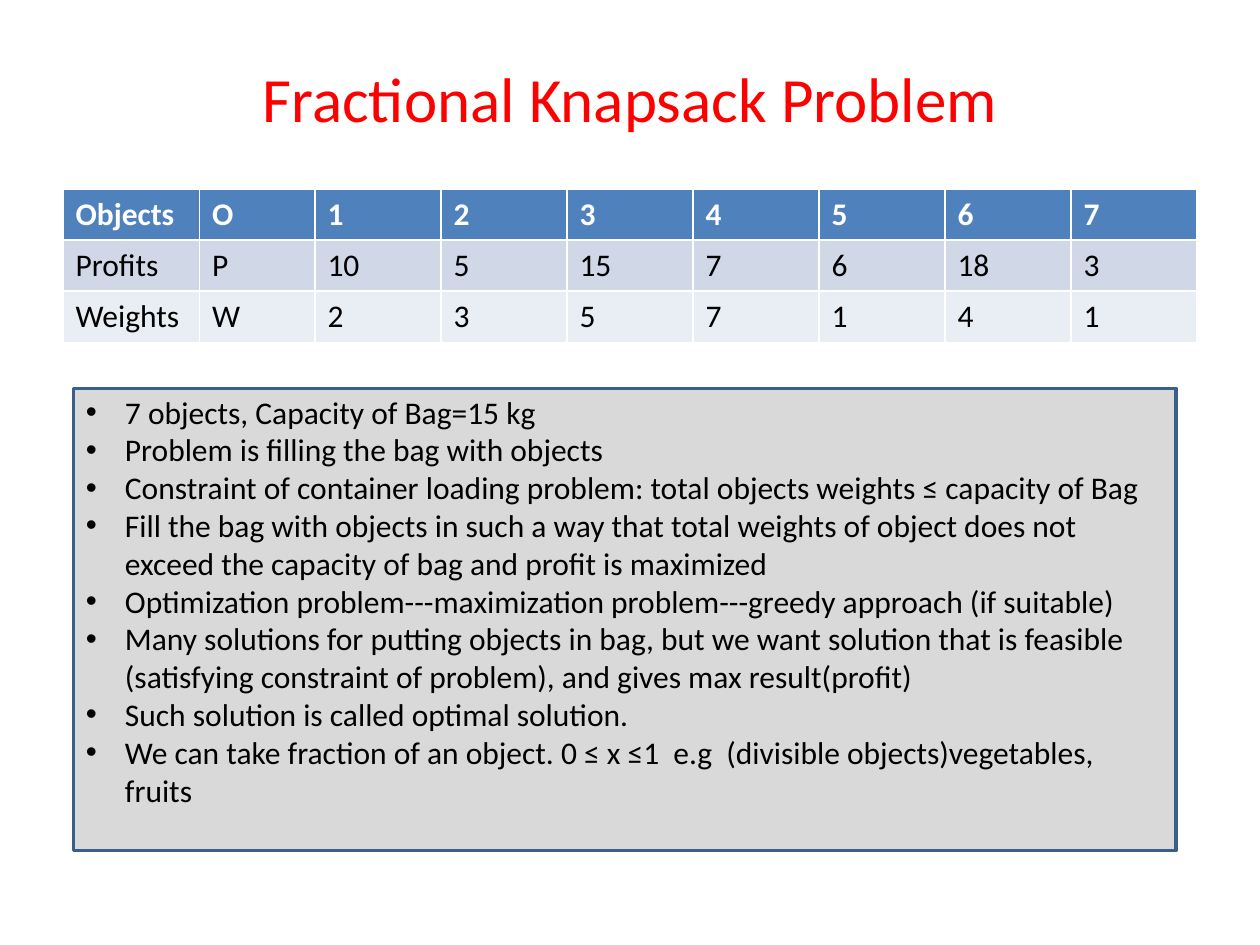
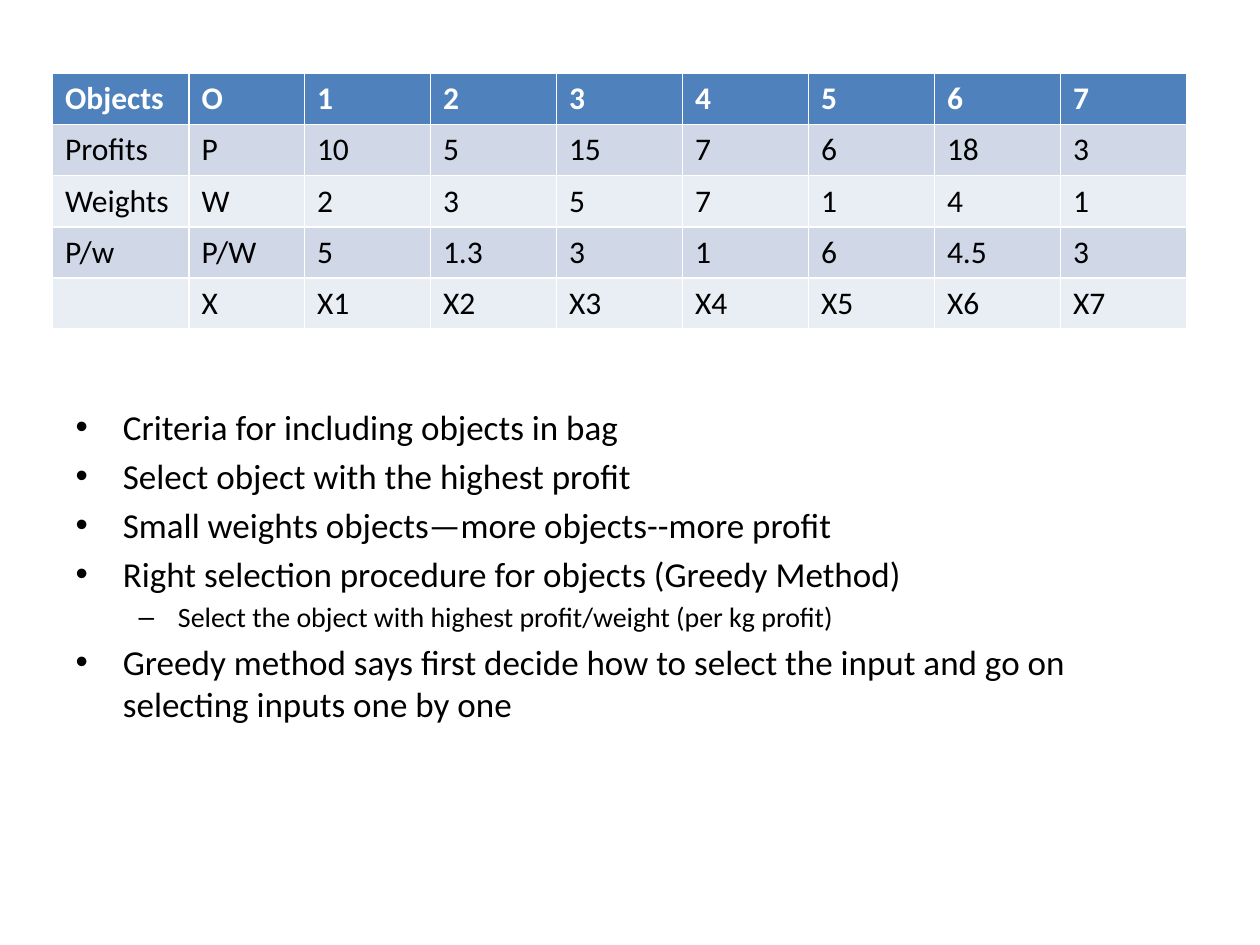
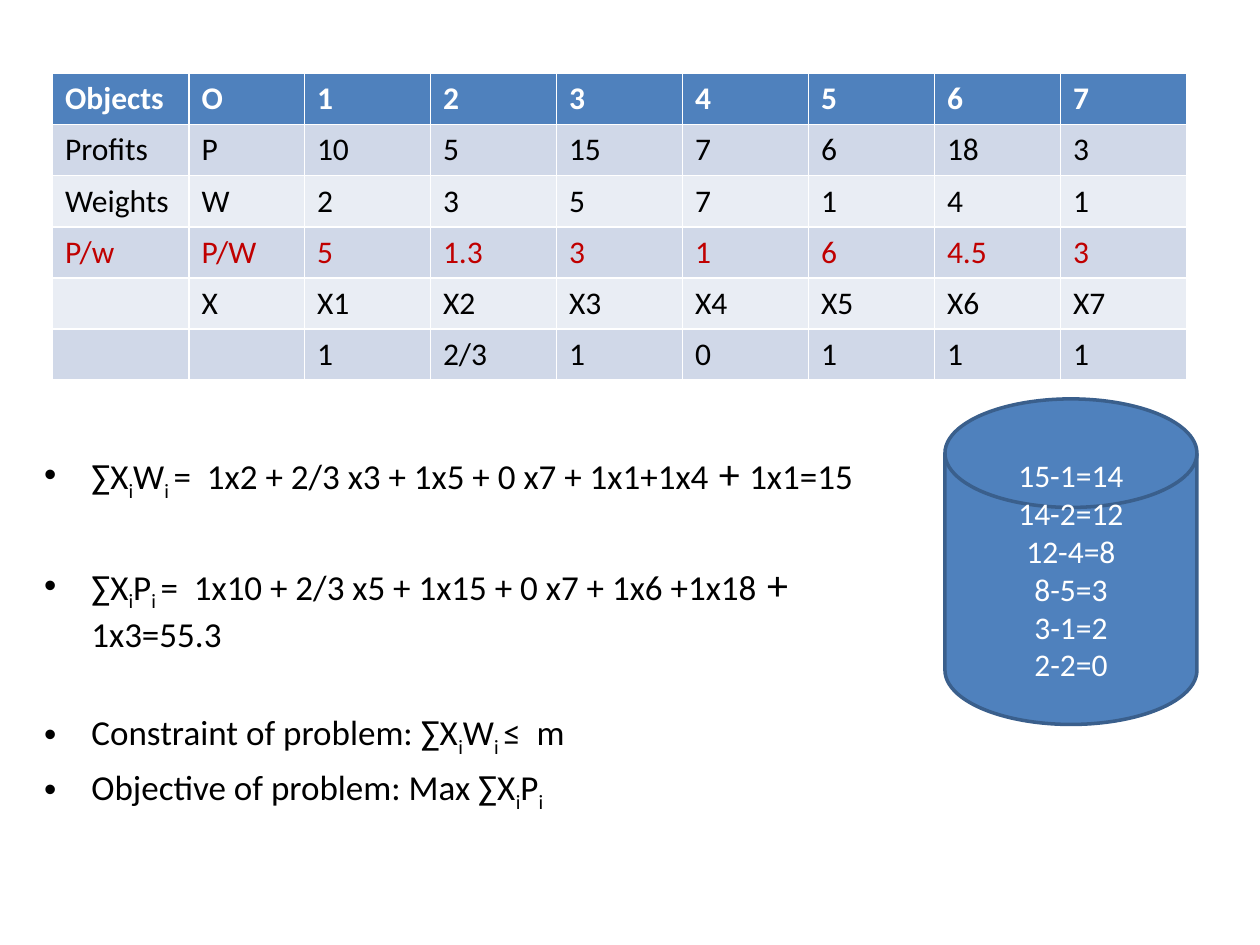
from dataclasses import dataclass

from lxml import etree
from pptx import Presentation
from pptx import util as u
from pptx.dml.color import RGBColor
from pptx.enum import shapes, text
from pptx.oxml.ns import qn


@dataclass(frozen=True)
class Theme:
    font: str = "Calibri"
    title: str = "FF0000"
    ink: str = "000000"
    white: str = "FFFFFF"
    accent: str = "4F81BD"
    outline: str = "3A5F8C"
    panel: str = "D9D9D9"
    highlight: str = "C00000"
    bands: tuple = ("D0D8E8", "E9EDF4")
    title_size: int = 36
    plus_size: int = 24
    body_size: int = 20
    text_size: int = 18
    detail_size: int = 16


@dataclass(frozen=True)
class Piece:
    text: str
    size: int = 0
    subscript: bool = False


THEME = Theme()
UNIT = u.Inches(10) // 120  # the slide is a grid of 120 columns and 90 rows
COLUMN_UNITS = (13, 11) + (12,) * 7
ROW_HEIGHT = u.Pt(29.2)
TITLE_ONLY, TITLE_AND_CONTENT = 5, 1

# Table rows
OBJECTS = ["Objects", "O", *"1234567"]
PROFITS = ["Profits", "P", "10", "5", "15", "7", "6", "18", "3"]
WEIGHTS = ["Weights", "W", "2", "3", "5", "7", "1", "4", "1"]
RATIOS = ["P/w", "P/W", "5", "1.3", "3", "1", "6", "4.5", "3"]
VARIABLES = ["", "X"] + [f"X{number}" for number in range(1, 8)]
FRACTIONS = ["", "", "1", "2/3", "1", "0", "1", "1", "1"]

PROBLEM = [
    "7 objects, Capacity of Bag=15 kg",
    "Problem is filling the bag with objects",
    "Constraint of container loading problem: total objects weights ≤ capacity of Bag",
    "Fill the bag with objects in such a way that total weights of object does not "
    "exceed the capacity of bag and profit is maximized",
    "Optimization problem---maximization problem---greedy approach (if suitable)",
    "Many solutions for putting objects in bag, but we want solution that is feasible "
    "(satisfying constraint of problem), and gives max result(profit)",
    "Such solution is called optimal solution.",
    "We can take fraction of an object. 0 ≤ x ≤1  e.g  (divisible objects)vegetables, fruits",
]
CAPACITY_STEPS = ["15-1=14", "14-2=12", "12-4=8", "8-5=3", "3-1=2", "2-2=0"]


def color(value):
    return RGBColor.from_string(value)


def grid(*units):
    return [round(unit * UNIT) for unit in units]


def place(shape, box):
    shape.left, shape.top, shape.width, shape.height = grid(*box)


def add_run(paragraph, content, size, ink, bold=None):
    run = paragraph.add_run()
    run.text = content
    run.font.name, run.font.size, run.font.bold = THEME.font, u.Pt(size), bold
    run.font.color.rgb = color(ink)
    return run


def paragraphs(frame, count):
    return [frame.paragraphs[0]] + [frame.add_paragraph() for _ in range(count - 1)]


def add_bullet(paragraph):
    properties = paragraph._p.get_or_add_pPr()
    indent = u.Inches(0.31)
    properties.set("marL", str(indent))
    properties.set("indent", str(-indent))
    etree.SubElement(properties, qn("a:buFont")).set("typeface", "Arial")
    etree.SubElement(properties, qn("a:buChar")).set("char", "•")


def add_title(slide, content):
    title = slide.shapes.title
    place(title, (6, 3.6, 108, 11.4))
    title.text_frame.vertical_anchor = text.MSO_ANCHOR.MIDDLE
    paragraph = title.text_frame.paragraphs[0]
    paragraph.alignment = text.PP_ALIGN.CENTER
    add_run(paragraph, content, THEME.title_size, THEME.title)


def add_objects_table(slide, left, top, rows, highlighted=None):
    frame = slide.shapes.add_table(len(rows), len(COLUMN_UNITS), *grid(left, top, 108),
                                   ROW_HEIGHT * len(rows))
    table = frame.table
    for column, width in zip(table.columns, COLUMN_UNITS):
        column.width = width * UNIT
    for index, values in enumerate(rows):
        header = index == 0
        fill = THEME.accent if header else THEME.bands[(index - 1) % 2]
        ink = THEME.white if header else THEME.ink
        if values is highlighted:
            ink = THEME.highlight
        for cell, value in zip(table.rows[index].cells, values):
            cell.fill.solid()
            cell.fill.fore_color.rgb = color(fill)
            if value:
                add_run(cell.text_frame.paragraphs[0], value, THEME.text_size, ink, header)


def add_text_shape(slide, kind, box, lines, fill, ink, alignment, bulleted=False):
    shape = slide.shapes.add_shape(kind, *grid(*box))
    shape.shadow.inherit = False
    shape.fill.solid()
    shape.fill.fore_color.rgb = color(fill)
    shape.line.color.rgb = color(THEME.outline)
    shape.line.width = u.Pt(2)
    frame = shape.text_frame
    frame.word_wrap = True
    frame.vertical_anchor = text.MSO_ANCHOR.MIDDLE
    frame.margin_bottom = u.Inches(0.35)  # lifts the centred text by half a line
    for paragraph, line in zip(paragraphs(frame, len(lines)), lines):
        paragraph.alignment = alignment
        if bulleted:
            add_bullet(paragraph)
        add_run(paragraph, line, THEME.text_size, ink)


def fill_body(slide, box, items):
    """Each item is (level, points of space before or None, pieces)."""
    body = slide.placeholders[1]
    place(body, box)
    frame = body.text_frame
    frame.auto_size = text.MSO_AUTO_SIZE.NONE
    for paragraph, (level, gap, pieces) in zip(paragraphs(frame, len(items)), items):
        paragraph.level = level
        if gap:
            paragraph.space_before = u.Pt(gap)
        default = THEME.detail_size if level else THEME.body_size
        for piece in pieces:
            run = add_run(paragraph, piece.text, piece.size or default, THEME.ink)
            if piece.subscript:
                run._r.get_or_add_rPr().set("baseline", "-25000")


def sum_of(letter, lead="", index="i "):
    return [Piece(lead + "∑X"), Piece("i", subscript=True),
            Piece(letter), Piece(index, subscript=True)]


def expansion(letter, terms, last):
    return sum_of(letter) + [Piece(terms), Piece(" + ", THEME.plus_size), Piece(last)]


def add_content_slide(presentation):
    slide = presentation.slides.add_slide(presentation.slide_layouts[TITLE_AND_CONTENT])
    title = slide.shapes.title._element
    title.getparent().remove(title)
    return slide


def problem_slide(presentation):
    slide = presentation.slides.add_slide(presentation.slide_layouts[TITLE_ONLY])
    add_title(slide, "Fractional Knapsack Problem")
    add_objects_table(slide, 6, 18, [OBJECTS, PROFITS, WEIGHTS])
    add_text_shape(slide, shapes.MSO_SHAPE.RECTANGLE, (7, 37, 105, 44), PROBLEM,
                   THEME.panel, THEME.ink, text.PP_ALIGN.LEFT, bulleted=True)


def criteria_slide(presentation):
    slide = add_content_slide(presentation)
    criteria = [
        (0, "Criteria for including objects in bag"),
        (0, "Select object with the highest profit"),
        (0, "Small weights objects—more objects--more profit"),
        (0, "Right selection procedure for objects (Greedy Method)"),
        (1, "Select the object with highest profit/weight (per kg profit)"),
        (0, "Greedy method says first decide how to select the input and go on "
            "selecting inputs one by one"),
    ]
    fill_body(slide, (6, 38, 108, 37),
              [(level, None, [Piece(line)]) for level, line in criteria])
    add_objects_table(slide, 5, 7, [OBJECTS, PROFITS, WEIGHTS, RATIOS, VARIABLES])


def solution_slide(presentation):
    slide = add_content_slide(presentation)
    fill_body(slide, (3, 42, 82, 37), [
        (0, None, expansion("W", "=  1x2 + 2/3 x3 + 1x5 + 0 x7 + 1x1+1x4", "1x1=15")),
        (0, 32, expansion("P", "=  1x10 + 2/3 x5 + 1x15 + 0 x7 + 1x6 +1x18", "1x3=55.3")),
        (0, 32, sum_of("W", "Constraint of problem: ") + [Piece("≤  m")]),
        (0, None, sum_of("P", "Objective of problem: Max ", "i")),
    ])
    add_objects_table(slide, 5, 7,
                      [OBJECTS, PROFITS, WEIGHTS, RATIOS, VARIABLES, FRACTIONS],
                      highlighted=RATIOS)
    add_text_shape(slide, shapes.MSO_SHAPE.FLOWCHART_MAGNETIC_DISK, (90, 38, 24, 31),
                   CAPACITY_STEPS, THEME.accent, THEME.white, text.PP_ALIGN.CENTER)


def main():
    presentation = Presentation()
    presentation.slide_width, presentation.slide_height = grid(120, 90)
    problem_slide(presentation)
    criteria_slide(presentation)
    solution_slide(presentation)
    presentation.save("out.pptx")


if __name__ == "__main__":
    main()
